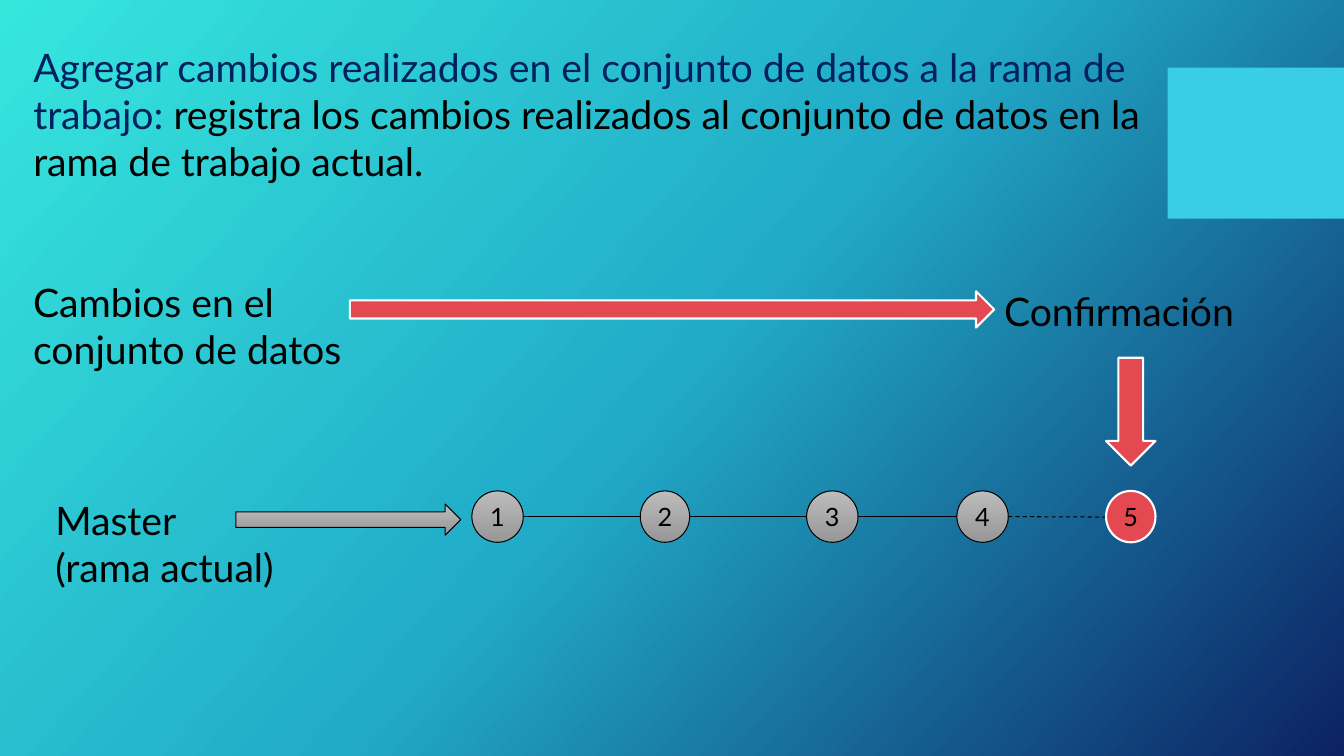
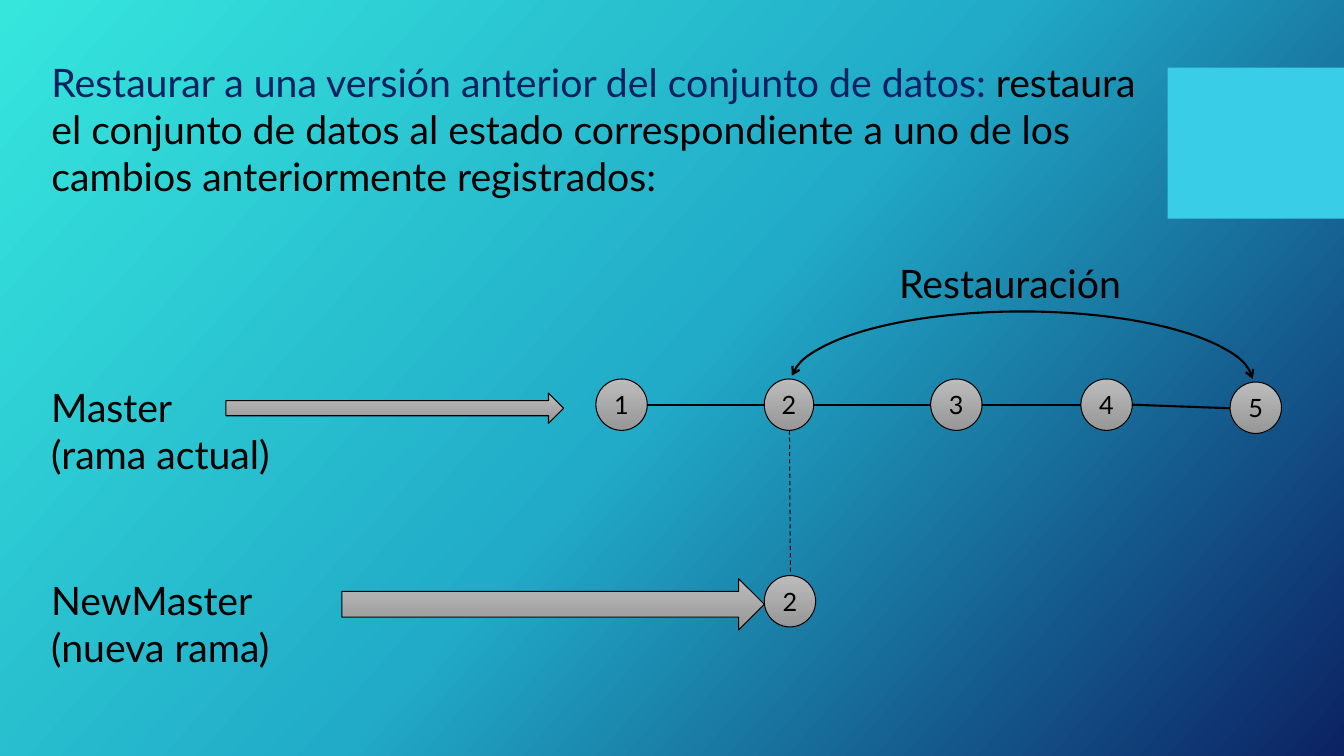
from copy import deepcopy

from lxml.etree import SubElement
from pptx import Presentation
from pptx.dml.color import RGBColor
from pptx.enum.dml import MSO_LINE
from pptx.enum.shapes import MSO_CONNECTOR, MSO_SHAPE as Preset
from pptx.enum.text import MSO_ANCHOR as Anchor, MSO_AUTO_SIZE as AutoSize, PP_ALIGN as Align
from pptx.oxml.ns import qn
from pptx.util import Inches, Pt

BLACK = RGBColor(0x00, 0x00, 0x00)
WHITE = RGBColor(0xFF, 0xFF, 0xFF)
NAVY = RGBColor(0x00, 0x20, 0x60)
RED = RGBColor(0xE4, 0x49, 0x51)
CYAN = RGBColor(0x39, 0xCD, 0xE7)
TURQUOISE = RGBColor(0x36, 0xE6, 0xDD)
BLUE = RGBColor(0x21, 0xAB, 0xC8)
MIDNIGHT = RGBColor(0x0C, 0x22, 0x63)
LIGHT_GREY = RGBColor(0xBC, 0xBC, 0xBC)
DARK_GREY = RGBColor(0x97, 0x97, 0x97)

FONT = "Lato"
NODE_SIZE = 0.51
NARROW_NODE = 0.49
NODES = ((0, NODE_SIZE), (1.67, NARROW_NODE), (3.32, NODE_SIZE), (4.81, NODE_SIZE))
LAST_OFFSET = 6.29


def apply_format(target, values):
    for name, value in values.items():
        setattr(target, name, value)


def fill_gradient(fill, colors, angle):
    fill.gradient()
    fill.gradient_angle = angle
    first_stop = fill.gradient_stops[0].element
    while len(fill.gradient_stops) < len(colors):
        first_stop.addnext(deepcopy(first_stop))
    for index, (stop, color) in enumerate(zip(fill.gradient_stops, colors)):
        stop.position = index / (len(colors) - 1)
        stop.color.rgb = color


class Deck:
    frame_format = {
        "word_wrap": True,
        "auto_size": AutoSize.NONE,
        "vertical_anchor": Anchor.TOP,
    }
    node_frame_format = {
        "margin_left": 0,
        "margin_right": 0,
        "vertical_anchor": Anchor.MIDDLE,
    }

    def __init__(self):
        self.presentation = Presentation()
        apply_format(self.presentation, {
            "slide_width": Inches(13.33),
            "slide_height": Inches(7.5),
        })
        background = self.presentation.slide_master.background
        fill_gradient(background.fill, (TURQUOISE, BLUE, MIDNIGHT), 318)
        self.slide = None

    def start_slide(self, box, heading, explanation):
        layout = self.presentation.slide_layouts[5]
        self.slide = self.presentation.slides.add_slide(layout)
        title = self.slide.shapes.title
        names = ("left", "top", "width", "height")
        apply_format(title, dict(zip(names, map(Inches, box))))
        apply_format(title.text_frame, self.frame_format)
        paragraph = title.text_frame.paragraphs[0]
        paragraph.alignment = Align.LEFT
        self.add_run(paragraph, heading, color=NAVY)
        self.add_run(paragraph, explanation)
        self.add_shape(Preset.RECTANGLE, (11.58, 0.67, 1.75, 1.5), CYAN, None)

    def add_run(self, paragraph, text, size=28, color=BLACK):
        run = paragraph.add_run()
        run.text = text
        apply_format(run.font, {"name": FONT, "size": Pt(size), "bold": False})
        run.font.color.rgb = color

    def add_label(self, box, *lines):
        frame = self.slide.shapes.add_textbox(*map(Inches, box)).text_frame
        apply_format(frame, self.frame_format)
        for index, line in enumerate(lines):
            paragraph = frame.add_paragraph() if index else frame.paragraphs[0]
            self.add_run(paragraph, line)

    def add_shape(self, preset, box, fill=None, line=BLACK, weight=0.75):
        shape = self.slide.shapes.add_shape(preset, *map(Inches, box))
        shape.shadow.inherit = False
        if fill is None:
            fill_gradient(shape.fill, (LIGHT_GREY, DARK_GREY), 270)
        else:
            shape.fill.solid()
            shape.fill.fore_color.rgb = fill
        if line is None:
            shape.line.fill.background()
        else:
            shape.line.color.rgb = line
            shape.line.width = Pt(weight)
        return shape

    def add_accent(self, preset, box):
        return self.add_shape(preset, box, RED, WHITE, 1.5)

    def write_number(self, shape, number):
        apply_format(shape.text_frame, self.node_frame_format)
        paragraph = shape.text_frame.paragraphs[0]
        paragraph.alignment = Align.CENTER
        self.add_run(paragraph, str(number), size=18)

    def add_node(self, left, top, number, width=NODE_SIZE):
        box = (left, top, width, NODE_SIZE)
        self.write_number(self.add_shape(Preset.FLOWCHART_CONNECTOR, box), number)

    def add_line(self, start, end, weight=0.75, dashed=False):
        points = map(Inches, (*start, *end))
        line = self.slide.shapes.add_connector(MSO_CONNECTOR.STRAIGHT, *points)
        line.line.color.rgb = BLACK
        line.line.width = Pt(weight)
        if dashed:
            line.line.dash_style = MSO_LINE.DASH
        SubElement(line.element.spPr, qn("a:effectLst"))

    def add_branch(self, left, top, weight):
        middle = top + NODE_SIZE / 2
        previous_right = None
        for number, (offset, width) in enumerate(NODES, 1):
            node_left = left + offset
            if previous_right is not None:
                self.add_line((previous_right, middle), (node_left, middle), weight)
            self.add_node(node_left, top, number, width)
            previous_right = node_left + width
        return previous_right, middle

    def add_double_arc(self, box, start, end):
        arc = self.add_shape(Preset.ARC, box, weight=1.5)
        arc.fill.background()
        arc.adjustments[0] = start
        arc.adjustments[1] = end
        outline = arc.element.spPr.find(qn("a:ln"))
        for tag in ("a:headEnd", "a:tailEnd"):
            SubElement(outline, qn(tag), type="arrow")


def add_commit_slide(deck):
    deck.start_slide(
        (0.23, 0.38, 11.23, 1.82),
        "Agregar cambios realizados en el conjunto de datos a la rama de trabajo: ",
        "registra los cambios realizados al conjunto de datos en la rama de trabajo actual.",
    )
    left, top = 4.68, 4.87
    branch_end = deck.add_branch(left, top, 0.75)
    last_left = left + LAST_OFFSET
    deck.add_line(branch_end, (last_left, 5.13), dashed=True)
    box = (last_left, top, NARROW_NODE, NODE_SIZE)
    deck.write_number(deck.add_accent(Preset.FLOWCHART_CONNECTOR, box), 5)
    deck.add_label((0.45, top, 2.85, 1.04), "Master", "(rama actual)")
    deck.add_shape(Preset.RIGHT_ARROW, (2.34, 5, 2.23, 0.31))
    deck.add_label((0.23, 2.71, 3.95, 1.04), "Cambios en el conjunto de datos")
    deck.add_accent(Preset.DOWN_ARROW, (last_left, 3.55, NARROW_NODE, 1.07))
    deck.add_label((9.86, 2.8, 2.7, 0.57), "Confirmación")
    deck.add_accent(Preset.RIGHT_ARROW, (3.47, 2.89, 6.39, 0.36))


def add_restore_slide(deck):
    deck.start_slide(
        (0.41, 0.53, 11.01, 1.51),
        "Restaurar a una versión anterior del conjunto de datos: ",
        "restaura el conjunto de datos al estado correspondiente a uno de los "
        "cambios anteriormente registrados:",
    )
    left, top = 5.91, 3.76
    branch_end = deck.add_branch(left, top, 1.5)
    last_left = left + LAST_OFFSET
    deck.add_line(branch_end, (last_left, 4.05), 1.5)
    deck.add_node(last_left, 3.79, 5)
    deck.add_line((7.83, 4.27), (7.84, 5.71), dashed=True)
    deck.add_node(7.58, 5.71, 2)
    deck.add_label((0.41, 3.75, 2.85, 1.04), "Master", "(rama actual)")
    deck.add_label((0.41, 5.67, 2.66, 1.04), "NewMaster", "(nueva rama)")
    deck.add_shape(Preset.RIGHT_ARROW, (2.24, 3.9, 3.35, 0.3))
    deck.add_shape(Preset.RIGHT_ARROW, (3.39, 5.74, 4.19, 0.51))
    deck.add_double_arc((7.84, 3.09, 4.59, 1.43), 109.16, 215.32)
    deck.add_label((8.82, 2.52, 2.62, 0.57), "Restauración")


def main():
    deck = Deck()
    add_commit_slide(deck)
    add_restore_slide(deck)
    deck.presentation.save("out.pptx")


if __name__ == "__main__":
    main()
